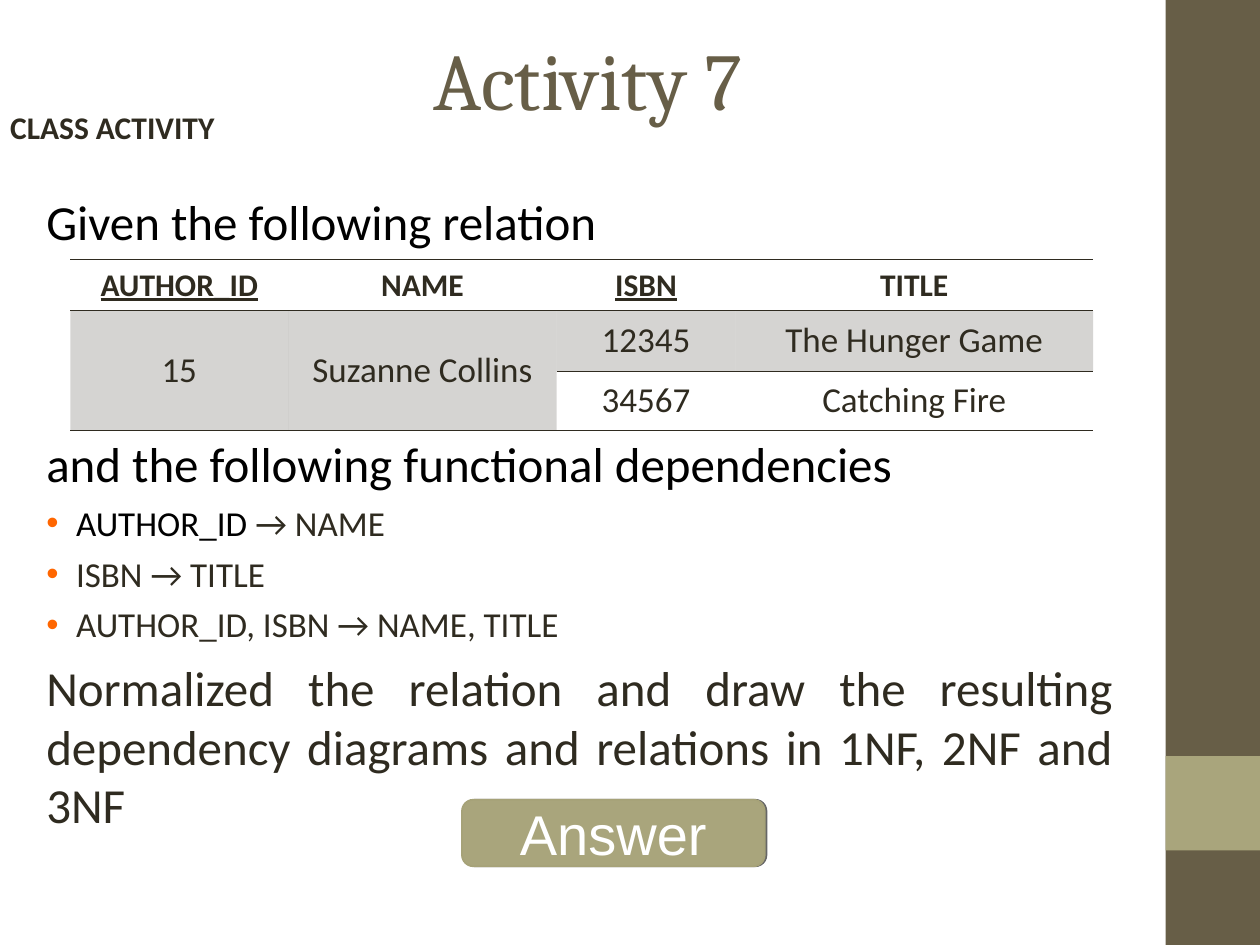
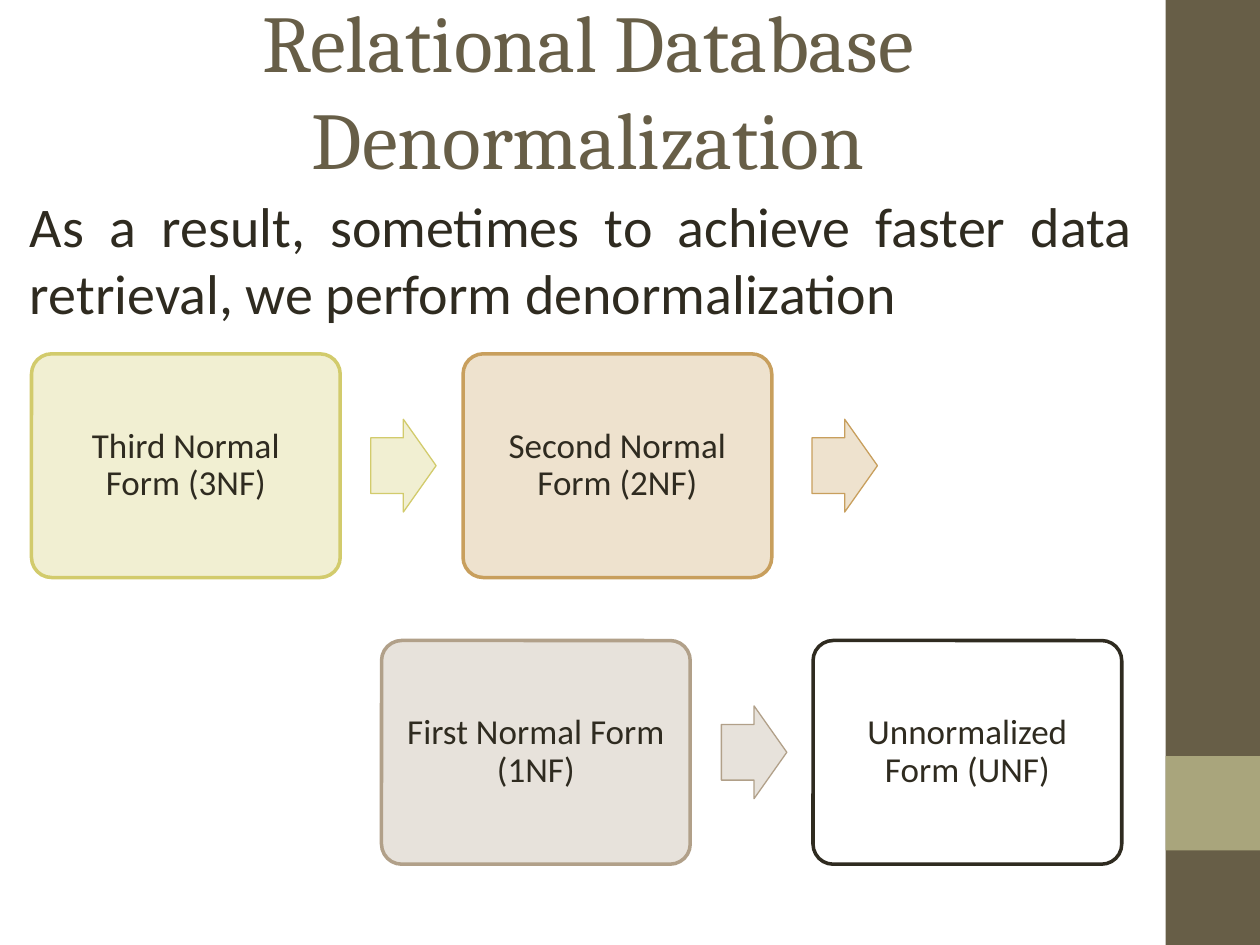
from dataclasses import dataclass
from typing import Any

from lxml import etree
from pptx import Presentation, util as u
from pptx.dml.color import RGBColor
from pptx.enum import shapes, text
from pptx.oxml import ns

Pt = u.Pt
Frame = tuple[float, float, float, float]


@dataclass(frozen=True)
class Theme:
    olive: str = "675E47"
    sage: str = "A9A57C"
    sage_edge: str = "A6A278"
    ink: str = "2F2B20"
    black: str = "000000"
    white: str = "FFFFFF"
    bullet: str = "FF6600"
    lime: str = "D2CB6C"
    amber: str = "C89F5D"
    taupe: str = "B1A089"
    heading_font: str = "Cambria"
    body_font: str = "Calibri"
    button_font: str = "Arial"
    title_size: float = 46
    large_size: float = 32
    body_size: float = 28
    small_size: float = 20
    label_size: float = 18
    table_tint: int = 20
    step_tint: int = 30


THEME = Theme()
LEFT, CENTER, JUSTIFY = (text.PP_ALIGN.LEFT, text.PP_ALIGN.CENTER,
                         text.PP_ALIGN.JUSTIFY)
BODY_INSETS = (7.2, 3.6, 7.2, 3.6)
NO_GRID_STYLE = "{2D5ABB26-0587-4C30-8999-92F81FD0307C}"


@dataclass(frozen=True)
class Span:
    words: str
    color: str = THEME.ink
    size: float = THEME.body_size
    font: str = THEME.body_font
    bold: bool = False
    underline: bool = False


@dataclass(frozen=True)
class Line:
    spans: tuple[Span, ...]
    align: Any = LEFT
    before: float = 0
    spacing: Any = None
    bullet: bool = False


@dataclass(frozen=True)
class Step:
    words: str
    color: str
    tinted: bool = True
    arrow_gap: float = 0


@dataclass(frozen=True)
class StepRow:
    left: float
    top: float
    steps: tuple[Step, ...]


def apply(target: Any, values: dict[str, Any]) -> None:
    for name, value in values.items():
        setattr(target, name, value)


def rgb(code: str) -> RGBColor:
    return RGBColor.from_string(code)


def add_element(parent: Any, tag: str, **attributes: str) -> Any:
    return etree.SubElement(parent, ns.qn(tag), attributes)


def add_bullet(para: Any) -> None:
    properties = para._p.get_or_add_pPr()
    properties.set("marL", str(Pt(17)))
    properties.set("indent", str(-Pt(17)))
    color = add_element(properties, "a:buClr")
    add_element(color, "a:srgbClr", val=THEME.bullet)
    add_element(properties, "a:buFont", typeface=THEME.button_font)
    add_element(properties, "a:buChar", char="•")


def write(frame: Any, lines: list[Line], insets: Frame = BODY_INSETS,
          anchor: Any = text.MSO_ANCHOR.TOP) -> None:
    left, top, right, bottom = map(Pt, insets)
    apply(frame, {
        "word_wrap": True, "auto_size": text.MSO_AUTO_SIZE.NONE,
        "vertical_anchor": anchor, "margin_left": left, "margin_top": top,
        "margin_right": right, "margin_bottom": bottom,
    })
    write_lines(frame, lines)


def write_lines(frame: Any, lines: list[Line]) -> None:
    for index, line in enumerate(lines):
        para = frame.add_paragraph() if index else frame.paragraphs[0]
        if line.bullet:
            add_bullet(para)
        apply(para, {"alignment": line.align, "space_before": Pt(line.before),
                     "line_spacing": line.spacing})
        for span in line.spans:
            run = para.add_run()
            run.text = span.words
            apply(run.font, {"name": span.font, "size": Pt(span.size),
                             "bold": span.bold, "underline": span.underline})
            run.font.color.rgb = rgb(span.color)


def set_alpha(properties: Any, percent: int) -> None:
    color = properties.find(f"{ns.qn('a:solidFill')}/{ns.qn('a:srgbClr')}")
    add_element(color, "a:alpha", val=str(percent * 1000))


def add_block(page: Any, kind: Any, frame: Frame, fill: str | None,
              edge: str | None = None, edge_width: float = 0,
              alpha: int = 100, adjust: tuple[float, ...] = ()) -> Any:
    block = page.shapes.add_shape(kind, *map(Pt, frame))
    block.shadow.inherit = False
    for index, value in enumerate(adjust):
        block.adjustments[index] = value
    if fill:
        block.fill.solid()
        block.fill.fore_color.rgb = rgb(fill)
        if alpha < 100:
            set_alpha(block.element.spPr, alpha)
    else:
        block.fill.background()
    if edge:
        block.line.color.rgb = rgb(edge)
        block.line.width = Pt(edge_width)
    else:
        block.line.fill.background()
    return block


def add_text(page: Any, frame: Frame, lines: list[Line],
             insets: Frame = BODY_INSETS) -> None:
    box = page.shapes.add_textbox(*map(Pt, frame))
    write(box.text_frame, lines, insets)


def add_page(deck: Any, title: str, title_top: float) -> Any:
    page = deck.slides.add_slide(deck.slide_layouts[5])
    holder = page.shapes.title
    apply(holder, {"left": Pt(36), "top": Pt(title_top),
                   "width": Pt(600), "height": Pt(90)})
    span = Span(title, THEME.olive, THEME.title_size, THEME.heading_font)
    write(holder.text_frame, [Line((span,), CENTER)],
          anchor=text.MSO_ANCHOR.MIDDLE)
    return page


def add_side_band(page: Any) -> None:
    bands = [((666, 0, 54, 540), THEME.olive), ((666, 432, 54, 54), THEME.sage)]
    for index, (frame, color) in enumerate(bands):
        band = add_block(page, shapes.MSO_SHAPE.RECTANGLE, frame, color)
        page.slide_layout.shapes.element.insert(2 + index, band.element)


def add_border(cell: Any, side: str) -> None:
    border = etree.Element(ns.qn(f"a:ln{side}"), {"w": str(Pt(0.45))})
    fill = add_element(border, "a:solidFill")
    add_element(fill, "a:srgbClr", val=THEME.ink)
    cell._tc.get_or_add_tcPr().insert(0, border)


def add_relation(page: Any) -> None:
    rows = [("AUTHOR_ID", "NAME", "ISBN", "TITLE"),
            ("15", "Suzanne Collins", "12345", "The Hunger Game"),
            ("", "", "34567", "Catching Fire")]
    keys = {"AUTHOR_ID", "ISBN"}
    widths = (124.5, 153.4, 102.2, 204.4)
    heights = (28.8, 34.4, 34)
    graphic = page.shapes.add_table(
        len(rows), len(widths), Pt(40.2), Pt(148.4),
        Pt(sum(widths)), Pt(sum(heights)))
    for style in graphic.element.iter(ns.qn("a:tableStyleId")):
        style.text = NO_GRID_STYLE
    table = graphic.table
    apply(table, {"first_row": False, "horz_banding": False})
    for column, width in zip(table.columns, widths):
        column.width = Pt(width)
    for row, height in zip(table.rows, heights):
        row.height = Pt(height)
    for column in (0, 1):
        table.cell(1, column).merge(table.cell(2, column))
    for r, row in enumerate(rows):
        for c, words in enumerate(row):
            cell = table.cell(r, c)
            cell.vertical_anchor = text.MSO_ANCHOR.MIDDLE
            if r == 1:
                cell.fill.solid()
                cell.fill.fore_color.rgb = rgb(THEME.ink)
                set_alpha(cell._tc.tcPr, THEME.table_tint)
            else:
                cell.fill.background()
            if r != 1 or cell.is_merge_origin:
                add_border(cell, "B")
            if r < 2:
                add_border(cell, "T")
            if words:
                size = THEME.small_size if r else THEME.label_size
                span = Span(words, size=size, bold=r == 0,
                            underline=words in keys)
                write_lines(cell.text_frame, [Line((span,), CENTER)])


def add_answer_button(page: Any) -> None:
    button = add_block(page, shapes.MSO_SHAPE.ROUNDED_RECTANGLE,
                       (264, 457, 173, 38), THEME.sage, THEME.sage_edge, 1,
                       adjust=(0.17,))
    effects = button.element.spPr.find(ns.qn("a:effectLst"))
    shadow = add_element(effects, "a:outerShdw", dist=str(Pt(1)), dir="0")
    color = add_element(shadow, "a:srgbClr", val=THEME.black)
    add_element(color, "a:alpha", val="60000")
    span = Span("Answer", THEME.white, THEME.large_size, THEME.button_font)
    write(button.text_frame, [Line((span,), CENTER)],
          anchor=text.MSO_ANCHOR.MIDDLE)


def add_step_row(page: Any, row: StepRow) -> None:
    width, height, pitch = 176.4, 127.8, 246.6
    arrow_width, arrow_height = 37.4, 53
    for index, step in enumerate(row.steps):
        left = row.left + index * pitch
        fill = step.color if step.tinted else None
        box = add_block(page, shapes.MSO_SHAPE.ROUNDED_RECTANGLE,
                        (left, row.top, width, height), fill, step.color, 2,
                        THEME.step_tint, (0.09,))
        span = Span(step.words, size=THEME.small_size)
        write(box.text_frame, [Line((span,), CENTER, spacing=0.9)],
              (10.5, 10.5, 10.5, 10.5), text.MSO_ANCHOR.MIDDLE)
        if step.arrow_gap:
            arrow_top = row.top + (height - arrow_height) / 2
            add_block(page, shapes.MSO_SHAPE.RIGHT_ARROW,
                      (left + width + step.arrow_gap, arrow_top,
                       arrow_width, arrow_height),
                      fill, step.color, 0.75, THEME.step_tint, (0.6, 0.5))


def build_activity(deck: Any) -> None:
    page = add_page(deck, "Activity 7", 0)
    add_side_band(page)
    small = THEME.small_size
    dependencies = [
        (Span("AUTHOR_ID ", THEME.black, small), Span("→ NAME", size=small)),
        (Span("ISBN → TITLE", size=small),),
        (Span("AUTHOR_ID, ISBN → NAME, TITLE", size=small),),
    ]
    task = ("Normalized the relation and draw the resulting dependency "
            "diagrams and relations in 1NF, 2NF and 3NF")
    add_text(page, (19.4, 105.8, 623.5, 85), [
        Line((Span("Given the following relation", THEME.black),)),
        Line((Span("and the following functional dependencies", THEME.black),),
             before=105),
        *(Line(spans, before=5, bullet=True) for spans in dependencies),
        Line((Span(task),), JUSTIFY, 7),
    ])
    label = Span("CLASS ACTIVITY", size=THEME.label_size, bold=True)
    add_text(page, (0, 65.5, 643.7, 25.2), [Line((label,), spacing=Pt(18))],
             (5.8, 0, 5.8, 0))
    add_relation(page)
    add_answer_button(page)


def build_denormalization(deck: Any) -> None:
    page = add_page(deck, "Relational Database Denormalization", 5.8)
    result = ("As a result, sometimes to achieve faster data retrieval, "
              "we perform denormalization")
    add_text(page, (10, 105.8, 644.4, 85),
             [Line((Span(result, size=THEME.large_size),), JUSTIFY)])
    step_rows = [
        StepRow(18, 202.2, (
            Step("Third Normal Form (3NF)", THEME.lime, arrow_gap=17.4),
            Step("Second Normal Form (2NF)", THEME.amber, arrow_gap=23))),
        StepRow(218, 366, (
            Step("First Normal Form (1NF)", THEME.taupe, arrow_gap=17.8),
            Step("Unnormalized Form (UNF)", THEME.ink, tinted=False))),
    ]
    for row in step_rows:
        add_step_row(page, row)


def main() -> None:
    deck = Presentation()
    apply(deck, {"slide_width": Pt(720), "slide_height": Pt(540)})
    build_activity(deck)
    build_denormalization(deck)
    deck.save("out.pptx")


if __name__ == "__main__":
    main()
